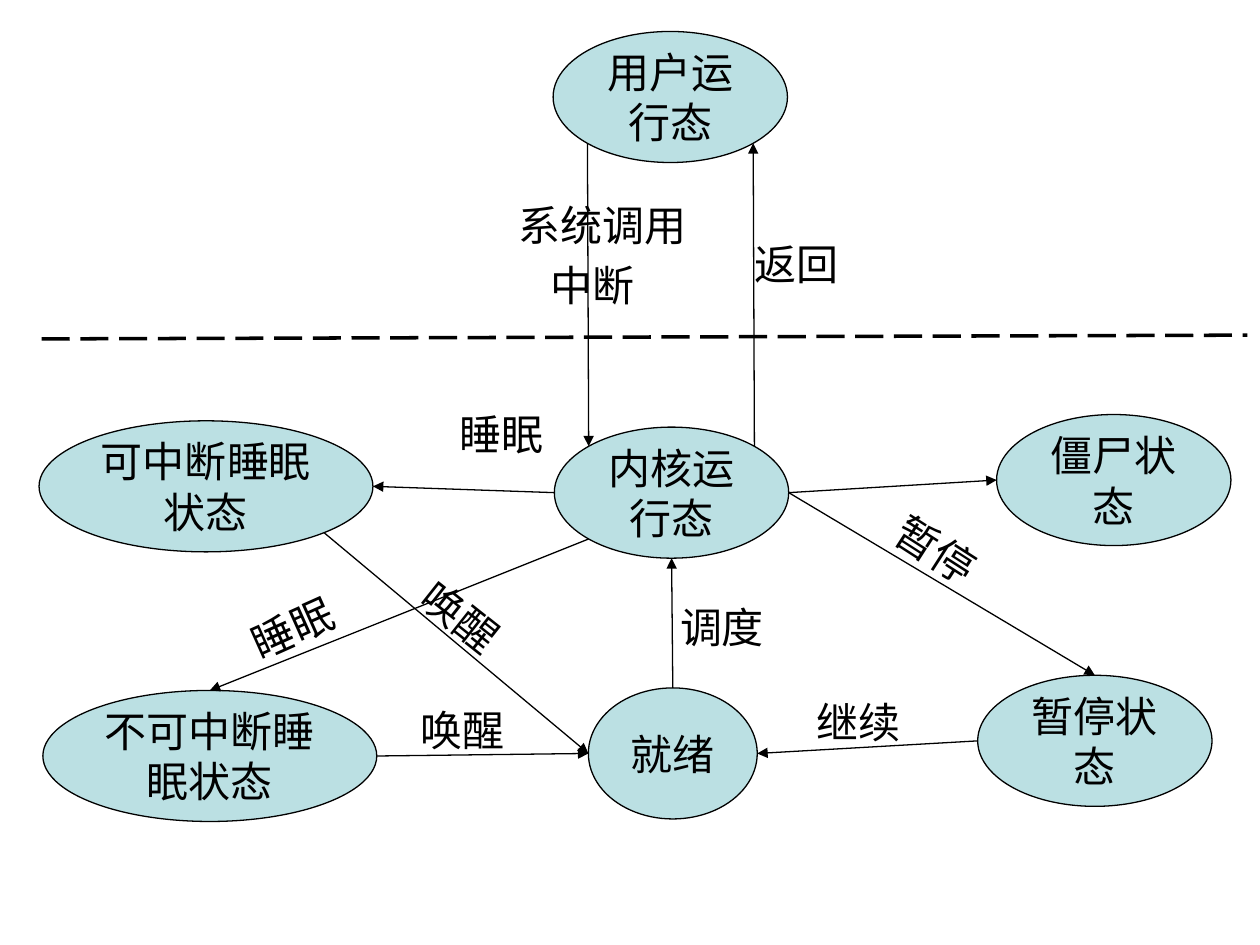
from math import cos, radians, sin

from lxml.etree import SubElement
from pptx import Presentation
from pptx.dml.color import RGBColor
from pptx.enum.dml import MSO_LINE
from pptx.enum.shapes import MSO_CONNECTOR, MSO_SHAPE
from pptx.enum.text import MSO_ANCHOR, PP_ALIGN
from pptx.oxml.ns import qn
from pptx.util import Inches, Pt

# Grid: 100 columns by 75 rows
WIDTH, HEIGHT = Inches(10), Inches(7.5)
COLUMN, ROW = WIDTH / 100, HEIGHT / 75
STATE_ROWS = 10.4
LABEL_ROWS = 6.2

# State: left column, top row, columns wide
STATES = {
    "用户运行态": (43.9, 2.5, 18.6),
    "内核运行态": (44, 33.9, 18.6),
    "就绪": (46.7, 54.6, 13.4),
    "可中断睡眠状态": (3.1, 33.4, 26.5),
    "不可中断睡眠状态": (3.4, 54.8, 26.5),
    "僵尸状态": (79.1, 32.9, 18.6),
    "暂停状态": (77.6, 53.6, 18.6),
}

# Compass points on an ellipse, in degrees clockwise from the right
SIDES = {"E": 0, "SE": 45, "S": 90, "SW": 135, "W": 180, "N": 270, "NE": 315}

TRANSITIONS = [
    ("用户运行态", "SW", "内核运行态", "W-top"),
    ("内核运行态", "NE", "用户运行态", "SE"),
    ("就绪", "N", "内核运行态", "S"),
    ("内核运行态", "E", "僵尸状态", "W"),
    ("内核运行态", "E", "暂停状态", "N"),
    ("暂停状态", "W", "就绪", "E"),
    ("内核运行态", "W", "可中断睡眠状态", "E"),
    ("内核运行态", "SW", "不可中断睡眠状态", "N"),
    ("可中断睡眠状态", "SE", "就绪", "W"),
    ("不可中断睡眠状态", "E", "就绪", "W"),
]
SIDES["W-top"] = 225

# Label: text, left column, top row, columns wide, rotation
LABELS = [
    ("系统调用", 39.5, 14.7, 16.6, 0),
    ("中断", 38.7, 19.5, 16.6, 0),
    ("返回", 58.8, 17.8, 8.8, 0),
    ("调度", 52.9, 46.6, 8.8, 0),
    ("暂停", 69.9, 40.5, 8.8, 32.7),
    ("继续", 63.7, 54.2, 8.8, 0),
    ("睡眠", 35.4, 31.3, 8.8, 0),
    ("睡眠", 18.8, 46.7, 8.8, 335.8),
    ("唤醒", 32.2, 45.8, 8.8, 38.4),
    ("唤醒", 32.3, 54.8, 8.8, 0),
]


def color(hex_code):
    return RGBColor.from_string(hex_code)


def grid(column, row):
    return round(column * COLUMN), round(row * ROW)


def write(shape, text):
    frame = shape.text_frame
    frame.word_wrap = True
    frame.vertical_anchor = MSO_ANCHOR.MIDDLE
    para = frame.paragraphs[0]
    para.text = text
    para.alignment = PP_ALIGN.CENTER
    para.font.name = "Open Sans"
    para.font.size = Pt(24)
    para.font.color.rgb = color("000000")
    return frame


def add_state(page, text, left, top, columns):
    oval = page.shapes.add_shape(
        MSO_SHAPE.OVAL, *grid(left, top), *grid(columns, STATE_ROWS))
    oval.shadow.inherit = False
    oval.fill.solid()
    oval.fill.fore_color.rgb = color("BBE0E3")
    oval.line.color.rgb = color("000000")
    oval.line.width = Pt(0.75)
    write(oval, text)


def add_label(page, text, left, top, columns, rotation):
    box = page.shapes.add_textbox(
        *grid(left, top), *grid(columns, LABEL_ROWS))
    box.rotation = rotation
    frame = write(box, text)
    frame.margin_left = frame.margin_right = 0
    frame.margin_top = frame.margin_bottom = 0


def add_line(page, start, end, width):
    line = page.shapes.add_connector(
        MSO_CONNECTOR.STRAIGHT, *grid(*start), *grid(*end))
    line.line.color.rgb = color("000000")
    line.line.width = Pt(width)
    SubElement(line._element.spPr, qn("a:effectLst"))
    return line


def edge_point(state, side):
    left, top, columns = STATES[state]
    angle = radians(SIDES[side])
    return (left + columns / 2 * (1 + cos(angle)),
            top + STATE_ROWS / 2 * (1 + sin(angle)))


def add_transition(page, source, source_side, target, target_side):
    arrow = add_line(page, edge_point(source, source_side),
                     edge_point(target, target_side), 0.75)
    SubElement(arrow.line._get_or_add_ln(), qn("a:tailEnd"), type="triangle")


def main():
    deck = Presentation()
    deck.slide_width, deck.slide_height = WIDTH, HEIGHT
    page = deck.slides.add_slide(deck.slide_layouts[6])

    # Process states
    for text, place in STATES.items():
        add_state(page, text, *place)

    # Transitions and their labels
    for transition in TRANSITIONS:
        add_transition(page, *transition)
    for label in LABELS:
        add_label(page, *label)

    # Border between user mode and kernel mode
    border = add_line(page, (3.3, 26.9), (99, 26.6), 2)
    border.line.dash_style = MSO_LINE.LONG_DASH

    deck.save("out.pptx")


if __name__ == "__main__":
    main()
